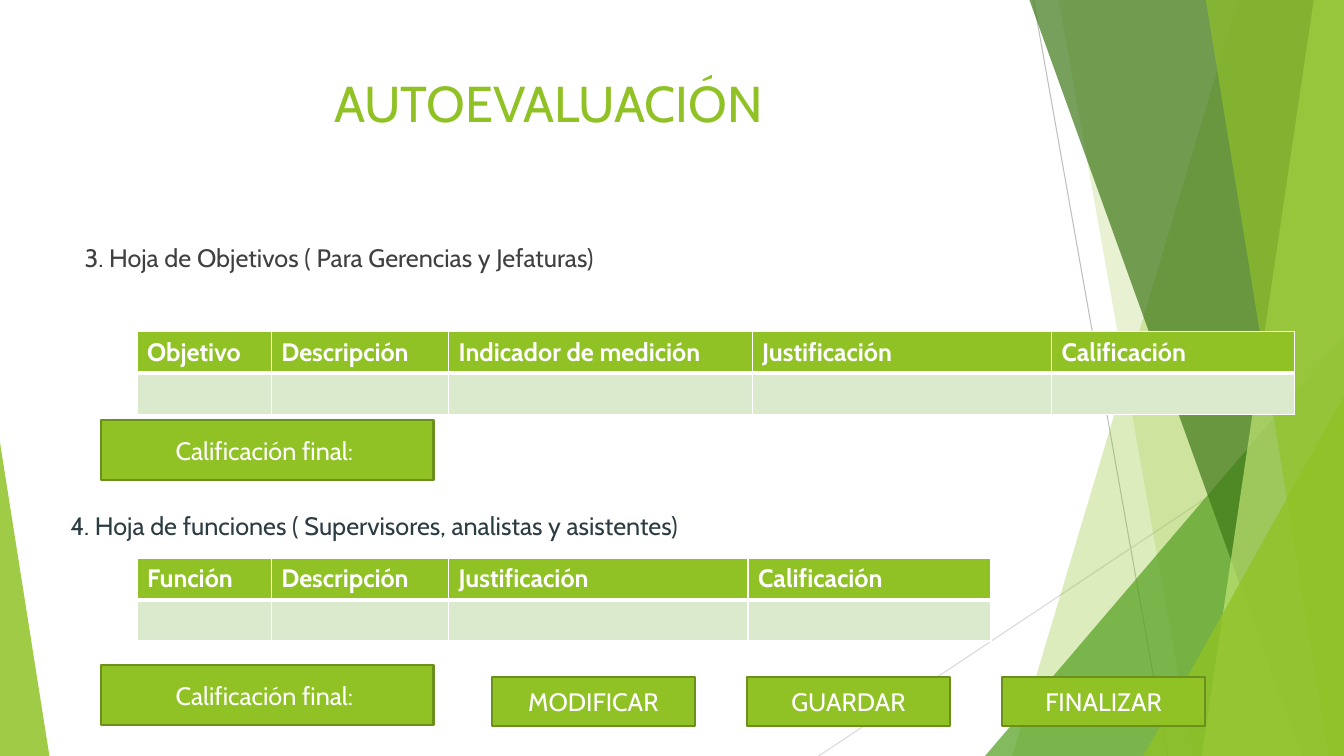
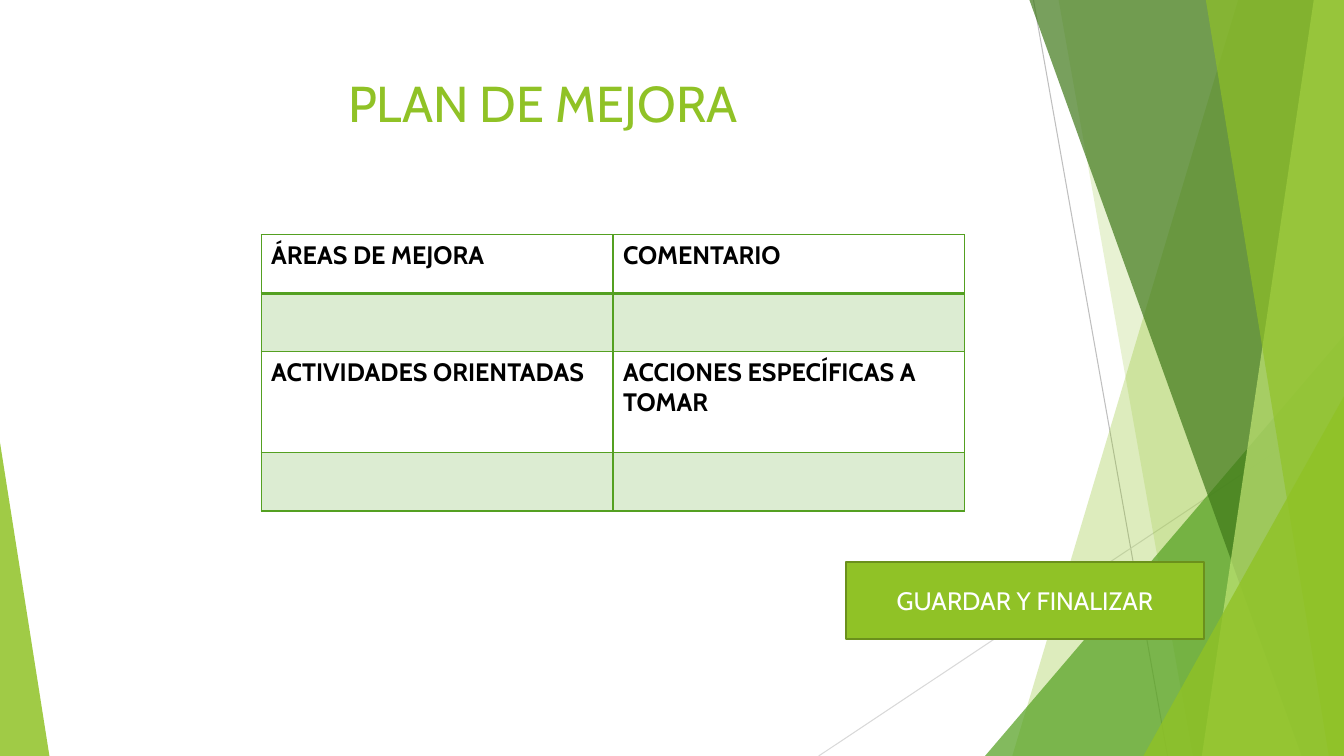
from lxml import etree
from pptx import Presentation
from pptx.dml.color import RGBColor
from pptx.enum.shapes import MSO_CONNECTOR, MSO_SHAPE
from pptx.enum.text import MSO_ANCHOR, PP_ALIGN
from pptx.oxml.ns import qn
from pptx.util import Inches, Pt

STRAIGHT = MSO_CONNECTOR.STRAIGHT
RECTANGLE, TRIANGLE = MSO_SHAPE.RECTANGLE, MSO_SHAPE.ISOSCELES_TRIANGLE
LEFT, CENTER = PP_ALIGN.LEFT, PP_ALIGN.CENTER
TOP, MIDDLE = MSO_ANCHOR.TOP, MSO_ANCHOR.MIDDLE

WIDTH, HEIGHT = 13.33, 7.5
FONT = "Cabin"
LIME, GREEN, WHITE, BLACK = "90C226", "54A021", "FFFFFF", "000000"
DARK_GREEN, PALE_LIME, OLIVE, PALE_ROW = "3F7819", "C0E474", "6B901C", "DBE9CD"
GREY, SLATE = "404040", "2C3C43"

RAYS = [((10.25, 0), (11.58, HEIGHT), "BFBFBF"),
        ((WIDTH, 4.03), (8.12, HEIGHT), "D9D9D9")]
# Panels give top-left x and bottom-left x; triangles give left, top, width, apex.
FACETS = [
    ("panel", (12.28, 10.04), LIME, 30),
    ("panel", (10.5, 11.83), LIME, 20),
    ("triangle", (9.77, 3.33, 3.56, 1), GREEN, 72),
    ("panel", (10.21, 12.91), DARK_GREEN, 70),
    ("panel", (13.03, 11.92), PALE_LIME, 70),
    ("panel", (11.96, 13.18), LIME, 65),
    ("triangle", (11.34, 3.93, 1.99, 1), LIME, 80),
    ("triangle", (0, 4.39, 0.49, 0), LIME, 85),
]

LIME_TABLE = {"fills": [(LIME, 100), (PALE_ROW, 100)], "color": WHITE,
              "border": WHITE, "header_rule": 3}
GRID_TABLE = {"fills": [None, (GREEN, 20)], "color": BLACK,
              "border": GREEN, "header_rule": 2}
BUTTON_LEFT, BUTTON_STEP, BUTTON_SIZE = 4.88, 2.53, (2.01, 0.48)

SLIDES = [
    {
        "title": "AUTOEVALUACIÓN",
        "headings": [
            ("3. Hoja de Objetivos ( Para Gerencias y Jefaturas)", 0.74, 2.36, GREY),
            ("4. Hoja de funciones ( Supervisores, analistas y asistentes)", 0.6, 5.01, SLATE),
        ],
        "tables": [
            {"at": (1.36, 3.29), "columns": [1.33, 1.76, 3.01, 2.97, 2.41],
             "heights": [0.41, 0.41], "style": LIME_TABLE,
             "rows": [["Objetivo", "Descripción", "Indicador de medición",
                       "Justificación", "Calificación"], [""] * 5]},
            {"at": (1.36, 5.54), "columns": [1.33, 1.76, 2.97, 2.41],
             "heights": [0.41, 0.41], "style": LIME_TABLE,
             "rows": [["Función", "Descripción", "Justificación", "Calificación"], [""] * 4]},
        ],
        "buttons": [("Calificación final: ", (1, top, 3.3, 0.59)) for top in (4.17, 6.6)]
        + [(label, (BUTTON_LEFT + index * BUTTON_STEP, 6.72, *BUTTON_SIZE))
           for index, label in enumerate(["MODIFICAR", "GUARDAR", "FINALIZAR"])],
    },
    {
        "title": "PLAN DE MEJORA ",
        "headings": [],
        "tables": [
            {"at": (2.59, 2.33), "columns": [3.49, 3.49],
             "heights": [0.58, 0.58, 1, 0.58], "style": GRID_TABLE,
             "rows": [["ÁREAS DE MEJORA", "COMENTARIO"], [""] * 2,
                      ["ACTIVIDADES ORIENTADAS", "ACCIONES ESPECÍFICAS A TOMAR"], [""] * 2]},
        ],
        "buttons": [("GUARDAR Y FINALIZAR", (8.39, 5.58, 3.55, 0.76))],
    },
]


def rgb(color):
    """Turn a hex string into a colour."""
    return RGBColor.from_string(color)


def paint(fill, color, opacity=100):
    """Fill solidly, with an opacity in percent."""
    fill.solid()
    fill.fore_color.rgb = rgb(color)
    if opacity < 100:
        tint = fill._xPr.find(qn("a:solidFill"))[0]
        etree.SubElement(tint, qn("a:alpha"), val=str(opacity * 1000))


def write(frame, text, color, size=18, bold=False, align=LEFT, anchor=TOP):
    """Put one formatted paragraph in a text frame."""
    frame.word_wrap = True
    frame.vertical_anchor = anchor
    para = frame.paragraphs[0]
    para.alignment = align
    span = para.add_run()
    span.text = text
    for name, value in {"name": FONT, "size": Pt(size), "bold": bold}.items():
        setattr(span.font, name, value)
    span.font.color.rgb = rgb(color)


def add_text(page, text, place, color, **style):
    """Add a text box."""
    box = page.shapes.add_textbox(*map(Inches, place))
    write(box.text_frame, text, color, **style)


def add_background(page):
    """Draw the rays and translucent facets shared by all slides."""
    for start, end, color in RAYS:
        ray = page.shapes.add_connector(STRAIGHT, *map(Inches, start + end))
        ray.line.color.rgb = rgb(color)
        ray.line.width = Pt(0.75)
        etree.SubElement(ray._element.spPr, qn("a:effectLst"))
    for kind, numbers, color, opacity in FACETS:
        if kind == "panel":
            top_left, bottom_left = numbers
            outline = page.shapes.build_freeform(Inches(top_left), 0)
            corners = [(WIDTH, 0), (WIDTH, HEIGHT), (bottom_left, HEIGHT)]
            outline.add_line_segments([tuple(map(Inches, corner)) for corner in corners])
            facet = outline.convert_to_shape()
        else:
            left, top, width, apex = numbers
            place = (left, top, width, HEIGHT - top)
            facet = page.shapes.add_shape(TRIANGLE, *map(Inches, place))
            facet.adjustments[0] = apex
        facet.shadow.inherit = False
        facet.line.fill.background()
        paint(facet.fill, color, opacity)


def add_border(cell, side, color, width):
    """Draw one border of a cell."""
    line = etree.SubElement(cell._tc.get_or_add_tcPr(), qn(f"a:ln{side}"), w=str(Pt(width)))
    solid = etree.SubElement(line, qn("a:solidFill"))
    etree.SubElement(solid, qn("a:srgbClr"), val=color)


def add_grid(page, at, columns, heights, rows, style):
    """Add a table whose rows alternate between heading and entry."""
    place = (*at, sum(columns), sum(heights))
    table = page.shapes.add_table(len(rows), len(columns), *map(Inches, place)).table
    table.first_row = table.horz_banding = False
    for column, width in zip(table.columns, columns):
        column.width = Inches(width)
    for index, (row, height, texts) in enumerate(zip(table.rows, heights, rows)):
        row.height = Inches(height)
        widths = {"L": 1, "R": 1, "T": 1, "B": 1}
        if index < 2:
            widths["TB"[index == 0]] = style["header_rule"] if index == 0 else 1
            widths["T"] = style["header_rule"] if index == 1 else 1
        for cell, text in zip(row.cells, texts):
            for side, width in widths.items():
                add_border(cell, side, style["border"], width)
            fill = style["fills"][index % 2]
            if fill:
                paint(cell.fill, *fill)
            else:
                cell.fill.background()
            if text:
                write(cell.text_frame, text, style["color"], bold=True)


def add_button(page, label, place):
    """Add a lime button with a centred label."""
    button = page.shapes.add_shape(RECTANGLE, *map(Inches, place))
    button.shadow.inherit = False
    paint(button.fill, LIME)
    button.line.color.rgb = rgb(OLIVE)
    button.line.width = Pt(1.5)
    write(button.text_frame, label, WHITE, align=CENTER, anchor=MIDDLE)


def main():
    """Build and save the deck."""
    deck = Presentation()
    deck.slide_width, deck.slide_height = Inches(WIDTH), Inches(HEIGHT)
    for content in SLIDES:
        page = deck.slides.add_slide(deck.slide_layouts[6])
        add_background(page)
        add_text(page, content["title"], (0.74, 0.67, 9.4, 1.44), LIME, size=36, align=CENTER)
        for text, left, top, color in content["headings"]:
            add_text(page, text, (left, top, 9.4, 0.4), color)
        for grid in content["tables"]:
            add_grid(page, **grid)
        for label, place in content["buttons"]:
            add_button(page, label, place)
    deck.save("out.pptx")


if __name__ == "__main__":
    main()
